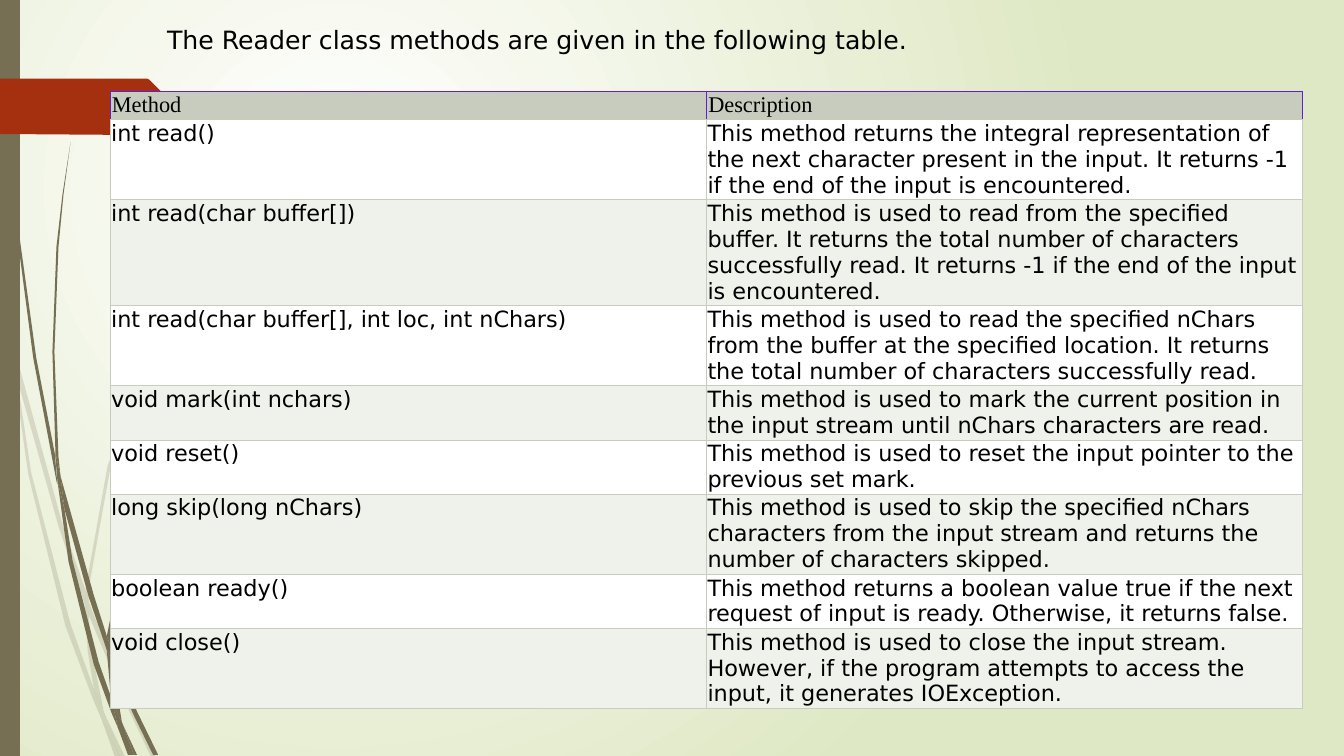
from dataclasses import dataclass
from lxml import etree
from pptx import Presentation, util as u
from pptx.dml.color import RGBColor
from pptx.enum import shapes
from pptx.oxml import parse_xml
from pptx.oxml.ns import nsdecls, qn


@dataclass(frozen=True)
class Theme:
    ink: str = "000000"
    stem: str = "766F54"
    accent: str = "A53010"
    glow: str = "FFFFFF"
    edge: str = "DFE8C4"
    header: str = "C7CCBE"
    header_line: str = "601EDB"
    bands: tuple = ("FFFFFF", "EFF1EB")
    font: str = "DejaVu Sans"
    header_font: str = "Times New Roman"
    title_size: int = 18
    table_size: int = 16
    faint: int = 20


class Deck:
    def __init__(self, theme):
        self.t = theme
        self.prs = Presentation()
        self.prs.slide_width, self.prs.slide_height = u.Cm(33.87), u.Cm(19.05)
        self.slide = self.prs.slides.add_slide(self.prs.slide_layouts[6])

    def background(self):
        fill = self.slide.background.fill
        fill.gradient()
        for stop, color in zip(fill.gradient_stops, (self.t.glow, self.t.edge)):
            stop.color.rgb = RGBColor.from_string(color)
        grad = next(self.slide.element.iter(qn("a:gradFill")))
        grad.replace(grad.find(qn("a:lin")), parse_xml(
            f'<a:path {nsdecls("a")} path="circle">'
            '<a:fillToRect l="50000" t="50000" r="100000" b="100000"/></a:path>'))

    def paint(self, sp, color, opacity=100):
        sp.shadow.inherit = False
        sp.line.fill.background()
        sp.fill.solid()
        sp.fill.fore_color.rgb = RGBColor.from_string(color)
        if opacity < 100:
            clr = next(sp.element.spPr.iter(qn("a:srgbClr")))
            etree.SubElement(clr, qn("a:alpha")).set("val", str(opacity * 1000))

    def outline(self, points, color, opacity=100):
        first, *rest = [tuple(map(int, pt.split(","))) for pt in points.split()]
        fb = self.slide.shapes.build_freeform(*first, scale=u.Cm(2.54) / 100)
        fb.add_line_segments(rest, close=True)
        self.paint(fb.convert_to_shape(), color, opacity)

    def bar(self, x, y, w, h, color):
        self.paint(self.slide.shapes.add_shape(
            shapes.MSO_SHAPE.RECTANGLE, u.Cm(x), u.Cm(y), u.Cm(w), u.Cm(h)), color)

    def run(self, tf, words, size, font):
        tf.word_wrap = True
        r = tf.paragraphs[0].add_run()
        r.text = words
        r.font.size, r.font.name = u.Pt(size), font
        r.font.color.rgb = RGBColor.from_string(self.t.ink)

    def text(self, x, y, w, h, words):
        sp = self.slide.shapes.add_textbox(u.Cm(x), u.Cm(y), u.Cm(w), u.Cm(h))
        self.run(sp.text_frame, words, self.t.title_size, self.t.font)

    def cell(self, cell, words, font, fill, line, margin):
        tc_pr = cell._tc.get_or_add_tcPr()
        for side in "LRTB":
            color = self.t.header if side == "B" else line
            tc_pr.append(parse_xml(
                f'<a:ln{side} {nsdecls("a")} w="{u.Pt(0.6)}"><a:solidFill>'
                f'<a:srgbClr val="{color}"/></a:solidFill></a:ln{side}>'))
        cell.fill.solid()
        cell.fill.fore_color.rgb = RGBColor.from_string(fill)
        cell.margin_left = cell.margin_right = u.Cm(margin)
        cell.margin_top = cell.margin_bottom = u.Cm(margin)
        self.run(cell.text_frame, words, self.t.table_size, font)

    def table(self, x, y, w, header, rows):
        heights = [0.7] + [0.64 * lines + 0.07 for *_, lines in rows]
        tbl = self.slide.shapes.add_table(
            len(heights), len(header), u.Cm(x), u.Cm(y), u.Cm(w), u.Cm(sum(heights))).table
        tbl.first_row = tbl.horz_banding = False
        for row, height in zip(tbl.rows, heights):
            row.height = u.Cm(height)
        for c, words in enumerate(header):
            self.cell(tbl.cell(0, c), words, self.t.header_font,
                      self.t.header, self.t.header_line, 0.05)
        for i, (*row, _) in enumerate(rows):
            for c, words in enumerate(row):
                self.cell(tbl.cell(i + 1, c), words, self.t.font,
                          self.t.bands[i % 2], self.t.header, 0.03)


FAINT_STEMS = [
    "11,350 9,322 0,282 0,299 10,344",
    "58,522 84,599 85,586 62,520 14,345 17,376",
    "92,607 88,596 88,610 123,694 150,751 155,751 127,692",
    "119,751 124,751 105,711",
    "93,683 70,619 31,469 17,376 11,350 28,470 65,621 92,693 101,714 99,707",
    "84,599 87,646 93,683 96,692 105,711 103,706 91,646 88,610 88,608",
    "88,584 110,462 160,349 229,245 268,198 290,175 312,154 312,153 289,175 "
    "268,197 228,244 158,348 107,461 85,584 85,586 88,596",
    "101,714 114,751 119,751",
    "88,608 88,610 88,596 85,586 84,599",
    "96,692 93,683 99,707 101,714 119,751 105,711",
]
DARK_STEMS = [
    "7,110 17,233 33,355 56,477 57,481 55,457 55,453 36,355 19,232 8,109 5,48 4,0 3,0 4,48",
    "88,592 106,645 106,633 106,631 93,590 60,472 64,505",
    "113,649 110,641 111,656 132,708 152,749 157,749 136,706",
    "110,691 98,657 72,556 64,505 57,477 68,557 93,659 111,708 117,722 116,717",
    "60,472 58,453 54,349 58,245 63,193 70,141 62,193 56,245 52,349 55,449",
    "133,749 136,749 122,719",
    "57,477 64,505 60,472 55,449 55,453",
    "111,633 125,552 158,476 205,406 231,374 245,359 261,344 260,344 245,358 "
    "231,373 204,405 156,474 122,551 106,631 110,641",
    "117,722 127,749 131,749",
    "106,645 110,691 116,706 122,719 121,716 111,656 109,651",
    "106,645 109,651 111,656 110,641 106,631 106,633",
    "116,706 110,691 116,717 117,722 130,749 133,749 122,719",
]
TAG = "173,108 148,133 146,134 136,134 0,133 0,78 136,78 146,78 148,79 173,104 174,106"

METHODS = [
    ("int read()",
     "This method returns the integral representation of the next character present "
     "in the input. It returns -1 if the end of the input is encountered.", 3),
    ("int read(char buffer[])",
     "This method is used to read from the specified buffer. It returns the total number of "
     "characters successfully read. It returns -1 if the end of the input is encountered.", 4),
    ("int read(char buffer[], int loc, int nChars)",
     "This method is used to read the specified nChars from the buffer at the specified "
     "location. It returns the total number of characters successfully read.", 3),
    ("void mark(int nchars)",
     "This method is used to mark the current position in the input stream "
     "until nChars characters are read.", 2),
    ("void reset()",
     "This method is used to reset the input pointer to the previous set mark.", 2),
    ("long skip(long nChars)",
     "This method is used to skip the specified nChars characters from the input stream "
     "and returns the number of characters skipped.", 3),
    ("boolean ready()",
     "This method returns a boolean value true if the next request of input is ready. "
     "Otherwise, it returns false.", 2),
    ("void close()",
     "This method is used to close the input stream. However, if the program attempts "
     "to access the input, it generates IOException.", 3),
]

theme = Theme()
deck = Deck(theme)
deck.background()
for stems, opacity in ((FAINT_STEMS, theme.faint), (DARK_STEMS, 100)):
    for stem in stems:
        deck.outline(stem, theme.stem, opacity)
deck.bar(0, 0, 0.5, 19.05, theme.stem)
deck.outline(TAG, theme.accent)
deck.table(2.77, 2.29, 30.06, ("Method", "Description"), METHODS)
deck.text(3.96, 0.48, 22.56, 1.02, "The Reader class methods are given in the following table.")
deck.prs.save("out.pptx")
